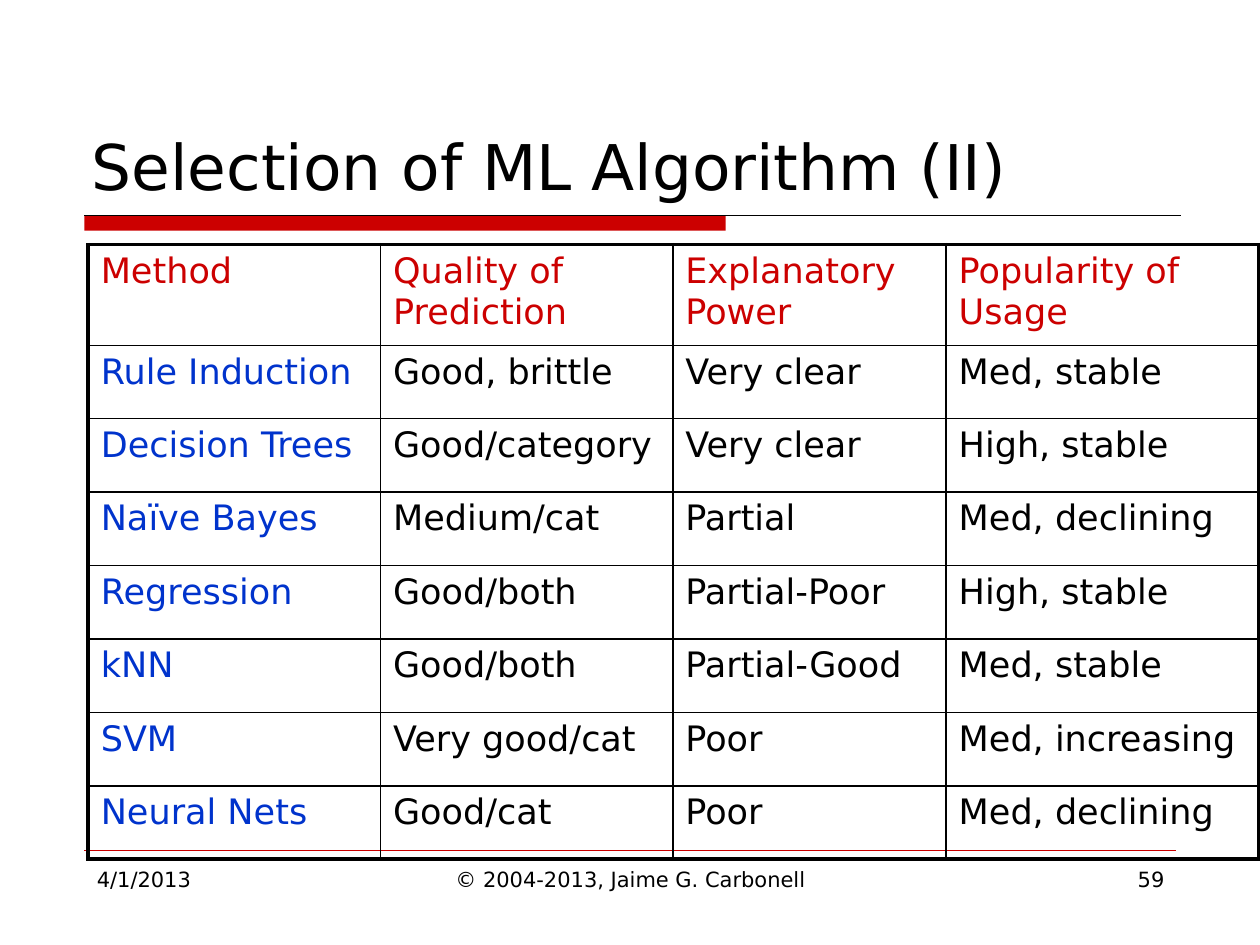
from lxml import etree
from pptx import Presentation
from pptx.dml.color import RGBColor
from pptx.enum.shapes import MSO_CONNECTOR, MSO_SHAPE
from pptx.enum.text import MSO_ANCHOR, PP_ALIGN
from pptx.oxml.ns import qn
from pptx.util import Inches, Pt

LEFT, CENTER, RIGHT = PP_ALIGN.LEFT, PP_ALIGN.CENTER, PP_ALIGN.RIGHT
TOP, BOTTOM = MSO_ANCHOR.TOP, MSO_ANCHOR.BOTTOM
STRAIGHT, RECTANGLE = MSO_CONNECTOR.STRAIGHT, MSO_SHAPE.RECTANGLE
BLACK = RGBColor(0x00, 0x00, 0x00)
RED = RGBColor(0xCC, 0x00, 0x00)
BLUE = RGBColor(0x00, 0x33, 0xCC)
FONT = "DejaVu Sans"
THIN, THICK = 1, 2.25
COLUMN_WIDTHS = (2.32, 2.32, 2.17, 2.48)
HEADER_HEIGHT, BODY_HEIGHT = 0.8, 4.08
ROWS = (
    ("Method", "Quality of Prediction", "Explanatory Power", "Popularity of Usage"),
    ("Rule Induction", "Good, brittle", "Very clear", "Med, stable"),
    ("Decision Trees", "Good/category", "Very clear", "High, stable"),
    ("Naïve Bayes", "Medium/cat", "Partial", "Med, declining"),
    ("Regression", "Good/both", "Partial-Poor", "High, stable"),
    ("kNN", "Good/both", "Partial-Good", "Med, stable"),
    ("SVM", "Very good/cat", "Poor", "Med, increasing"),
    ("Neural Nets", "Good/cat", "Poor", "Med, declining"),
)


def add_span(para, text, size, color):
    """Add one formatted run to a paragraph."""
    span = para.add_run()
    span.text = text
    span.font.name = FONT
    span.font.size = Pt(size)
    span.font.color.rgb = color


def add_text(page, text, area, size, align=LEFT, anchor=TOP):
    """Add a wrapped text box holding one line."""
    box = page.shapes.add_textbox(*map(Inches, area))
    box.text_frame.word_wrap = True
    box.text_frame.vertical_anchor = anchor
    para = box.text_frame.paragraphs[0]
    para.alignment = align
    add_span(para, text, size, BLACK)


def add_rule(page, left, right, y, color, width):
    """Add a horizontal line without a shadow."""
    rule = page.shapes.add_connector(
        STRAIGHT, Inches(left), Inches(y), Inches(right), Inches(y))
    rule.line.color.rgb = color
    rule.line.width = Pt(width)
    etree.SubElement(rule._element.spPr, qn("a:effectLst"))


def add_bar(page, area):
    """Add the red bar under the title."""
    bar = page.shapes.add_shape(RECTANGLE, *map(Inches, area))
    bar.shadow.inherit = False
    bar.fill.solid()
    bar.fill.fore_color.rgb = RED
    bar.line.fill.background()


def set_border(cell, side, width):
    """Draw one black border of a cell."""
    line = etree.SubElement(
        cell._tc.get_or_add_tcPr(), qn("a:ln" + side), w=str(Pt(width)))
    fill = etree.SubElement(line, qn("a:solidFill"))
    etree.SubElement(fill, qn("a:srgbClr"), val=str(BLACK))


def fill_cell(cell, text, row, column):
    """Write a cell and draw its borders, thick on the outer edge."""
    outer = {"L": column == 0, "R": column == len(COLUMN_WIDTHS) - 1,
             "T": row == 0, "B": row == len(ROWS) - 1}
    for side, is_outer in outer.items():
        set_border(cell, side, THICK if is_outer else THIN)
    cell.fill.background()
    cell.vertical_anchor = TOP
    color = RED if row == 0 else BLUE if column == 0 else BLACK
    add_span(cell.text_frame.paragraphs[0], text, 20, color)


def add_method_table(page, left, top):
    """Add the comparison table of methods."""
    table = page.shapes.add_table(
        len(ROWS), len(COLUMN_WIDTHS), Inches(left), Inches(top),
        Inches(sum(COLUMN_WIDTHS)), Inches(HEADER_HEIGHT + BODY_HEIGHT)).table
    table.horz_banding = False
    for column, width in zip(table.columns, COLUMN_WIDTHS):
        column.width = Inches(width)
    for r, texts in enumerate(ROWS):
        height = BODY_HEIGHT / (len(ROWS) - 1) if r else HEADER_HEIGHT
        table.rows[r].height = Inches(height)
        for c, text in enumerate(texts):
            fill_cell(table.cell(r, c), text, r, c)


def main():
    """Build the slide and save it."""
    deck = Presentation()
    deck.slide_width, deck.slide_height = Inches(10), Inches(7.5)
    page = deck.slides.add_slide(deck.slide_layouts[6])
    add_bar(page, (0.67, 1.71, 5.09, 0.12))
    add_rule(page, 0.67, 9.37, 1.71, BLACK, 0.75)
    add_rule(page, 0.67, 9.33, 6.75, RED, 0.25)
    add_text(page, "4/1/2013", (0.67, 6.83, 2.17, 0.52), 12)
    add_text(page, "© 2004-2013, Jaime G. Carbonell",
             (3.42, 6.83, 3.17, 0.52), 12, CENTER)
    add_text(page, "59", (7.17, 6.83, 2.17, 0.52), 12, RIGHT)
    add_text(page, "Selection of ML Algorithm (II)",
             (0.63, 0.33, 8.75, 1.33), 36, anchor=BOTTOM)
    add_method_table(page, 0.7, 1.94)
    deck.save("out.pptx")


main()
